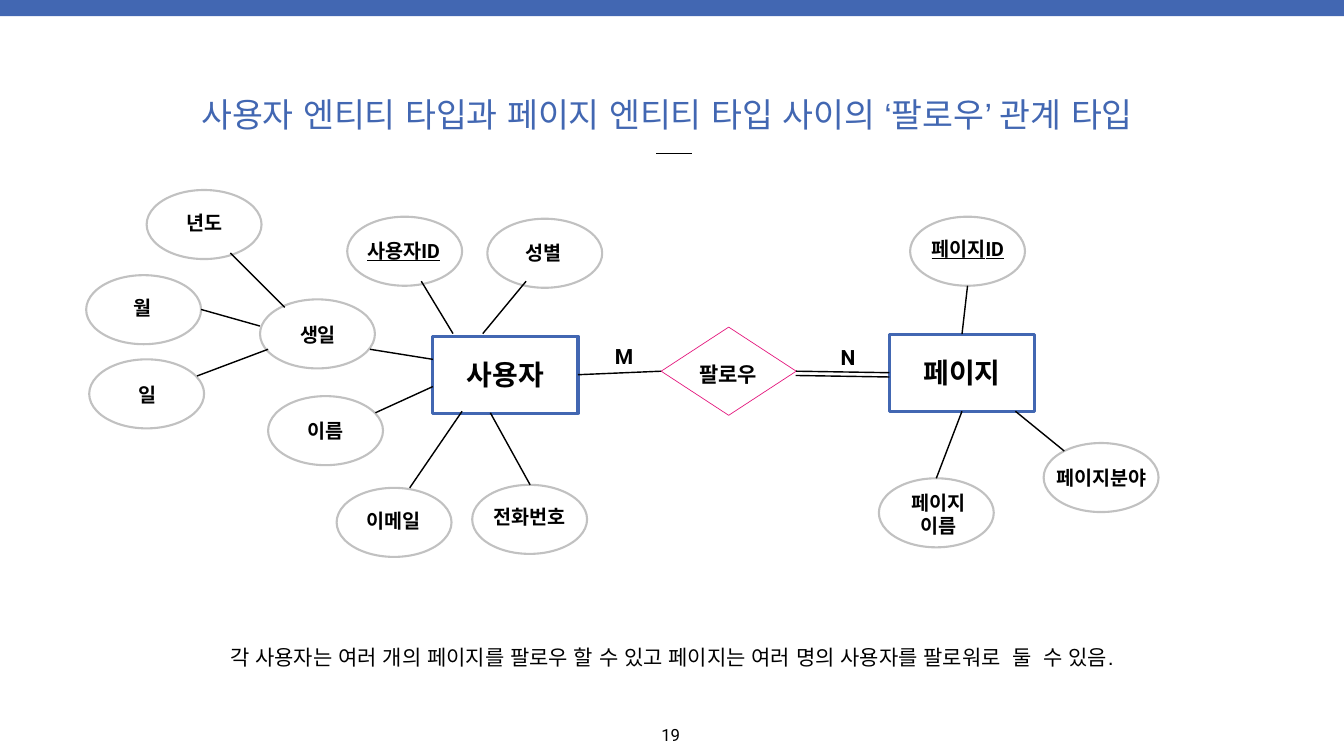
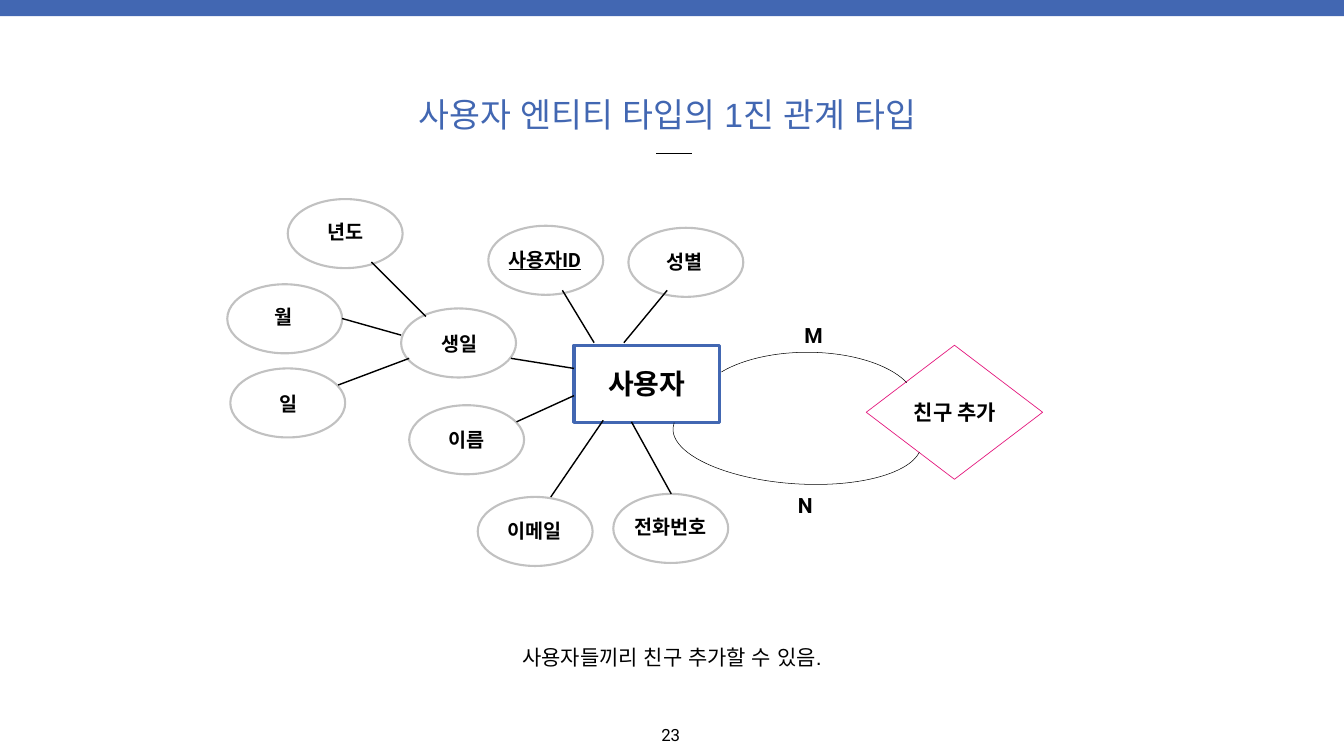
from lxml.etree import SubElement
from pptx import Presentation
from pptx.dml.color import RGBColor
from pptx.enum.shapes import MSO_CONNECTOR, MSO_SHAPE
from pptx.enum.text import MSO_ANCHOR, MSO_AUTO_SIZE, PP_ALIGN
from pptx.oxml.ns import qn
from pptx.util import Inches, Pt

COLORS = {"blue": "4267B2", "gray": "C1C1C1", "pink": "E4177D",
          "black": "000000", "white": "FFFFFF"}
WIDTH, HEIGHT = 26.67, 15
OVAL = (2.28, 1.37)
BOX = (2.88, 1.53)

# Attributes: text, oval left and top, label left, top, width and height, key
USER = {
    "name": "사용자",
    "box": (8.59, 6.67),
    "attributes": [
        ("사용자ID", 6.89, 4.3, 7.06, 4.69, 1.9, 0.58, True),
        ("성별", 9.67, 4.34, 10.12, 4.72, 1.34, 0.58, False),
        ("전화번호", 9.37, 9.62, 9.65, 9.97, 1.7, 0.58, False),
        ("이메일", 6.68, 9.68, 6.92, 10.05, 1.78, 0.58, False),
        ("이름", 5.32, 7.86, 5.79, 8.25, 1.34, 0.58, False),
        ("생일", 5.16, 5.94, 5.64, 6.34, 1.34, 0.58, False),
        ("일", 1.77, 7.13, 2.25, 7.54, 1.34, 0.58, False),
        ("월", 1.71, 5.46, 2.16, 5.81, 1.34, 0.58, False),
        ("년도", 2.91, 3.77, 3.38, 4.12, 1.34, 0.58, False),
    ],
    "lines": [
        (7.45, 6.49, 7.45, 6.49),
        (10.44, 5.58, 9.58, 6.62),
        (8.36, 5.58, 8.99, 6.62),
        (7.34, 6.93, 8.59, 7.13),
        (8.59, 7.67, 7.45, 8.19),
        (9.17, 8.16, 8.13, 9.68),
        (9.73, 8.19, 10.52, 9.62),
        (5.65, 6.1, 4.57, 5.02),
        (5.16, 6.47, 3.99, 6.14),
        (5.32, 6.93, 3.91, 7.46),
    ],
}
PAGE = {
    "name": "페이지",
    "box": (17.65, 6.63),
    "attributes": [
        ("페이지 이름", 17.44, 9.49, 17.65, 9.68, 1.93, 1.05, False),
        ("페이지ID", 18.06, 4.3, 18.27, 4.65, 1.87, 0.58, True),
        ("페이지분야", 20.71, 8.79, 20.71, 9.18, 2.28, 0.58, False),
    ],
    "lines": [(20.15, 8.16, 21.12, 8.95)],
}
FOLLOW = {
    "title": "사용자 엔티티 타입과 페이지 엔티티 타입 사이의 ‘팔로우’ 관계 타입 ",
    "title_width": 19.68,
    "caption": "각 사용자는 여러 개의 페이지를 팔로우 할 수 있고 "
               "페이지는 여러 명의 사용자를 팔로워로  둘  수 있음.",
    "caption_width": 18.51,
    "number": "19",
    "diamond": (13.12, 6.49, 2.68, 1.75),
    "relation": ("팔로우", 13.68, 7.11, 1.54),
    "cardinalities": [("M", 12.14, 6.75, 0.46), ("N", 16.62, 6.77, 0.42)],
}
FRIEND = {
    "title": "사용자 엔티티 타입의 1진 관계 타입 ",
    "title_width": 10.79,
    "caption": "사용자들끼리 친구 추가할 수 있음.",
    "caption_width": 6.49,
    "number": "23",
    "diamond": (17.19, 6.85, 3.5, 2.66),
    "relation": ("친구 추가", 17.94, 7.87, 2.02),
    "cardinalities": [("M", 15.9, 6.33, 0.46), ("N", 15.77, 9.72, 0.42)],
}
FRIEND_SHIFT = (2.8, 0.18)
# Arcs: position and size, flip, rotation, adjustments
FRIEND_ARCS = [
    ((13.86, 6.99, 4.32, 2.03), "flipH", 0, (115.08, 203.94)),
    ((13.35, 7.72, 4.94, 1.88), "flipV", 3.9, (106.47, 213.96)),
]


def color(name):
    return RGBColor.from_string(COLORS[name])


def write(sp, text, size, font="Roboto", ink="black", bold=False,
          underline=None, wrap=True, anchor=MSO_ANCHOR.MIDDLE):
    tf = sp.text_frame
    tf.text = text
    tf.word_wrap = wrap
    tf.auto_size = MSO_AUTO_SIZE.SHAPE_TO_FIT_TEXT
    tf.vertical_anchor = anchor
    tf.margin_left = tf.margin_right = Inches(0.06)
    tf.margin_top = tf.margin_bottom = Inches(0.06)
    p = tf.paragraphs[0]
    p.alignment = PP_ALIGN.CENTER
    r = p.runs[0]
    r.font.size = Pt(size)
    r.font.name = font
    r.font.bold = bold
    r.font.underline = underline
    r.font.color.rgb = color(ink)
    SubElement(r.font._element, qn("a:ea")).set("typeface", font)


def add_label(s, text, at, size, **style):
    write(s.shapes.add_textbox(*map(Inches, at)), text, size, **style)


def add_figure(s, kind, at, fill=None, line=None, weight=1):
    sp = s.shapes.add_shape(kind, *map(Inches, at))
    sp.shadow.inherit = False
    if fill:
        sp.fill.solid()
        sp.fill.fore_color.rgb = color(fill)
    else:
        sp.fill.background()
    if line:
        sp.line.color.rgb = color(line)
        sp.line.width = Pt(weight)
    else:
        sp.line.fill.background()
    return sp


def add_line(s, ends, begin=None, end=None):
    """Draw a line; begin and end are optional (shape, side) joints."""
    c = s.shapes.add_connector(MSO_CONNECTOR.STRAIGHT, *map(Inches, ends))
    c.line.color.rgb = color("black")
    c.line.width = Pt(2)
    SubElement(c._element.spPr, qn("a:effectLst"))
    if begin:
        c.begin_connect(*begin)
    if end:
        c.end_connect(*end)


def add_entity(s, entity, shift=(0, 0)):
    """Draw an entity with its attributes and return its rectangle."""
    dx, dy = shift
    x, y = entity["box"][0] + dx, entity["box"][1] + dy
    box = add_figure(s, MSO_SHAPE.RECTANGLE, (x, y, *BOX), "white", "blue", 4.5)
    add_label(s, entity["name"], (x + 0.15, y + 0.36, 2.58, 0.78), 40, bold=True)
    for text, ox, oy, lx, ly, w, h, key in entity["attributes"]:
        add_figure(s, MSO_SHAPE.OVAL, (ox + dx, oy + dy, *OVAL), "white", "gray", 3)
        add_label(s, text, (lx + dx, ly + dy, w, h), 28, bold=True,
                  underline=key or None)
    for x1, y1, x2, y2 in entity["lines"]:
        add_line(s, (x1 + dx, y1 + dy, x2 + dx, y2 + dy))
    return box


def add_relation(s, content):
    """Draw the relationship with its cardinalities and return its diamond."""
    diamond = add_figure(s, MSO_SHAPE.DIAMOND, content["diamond"], "white", "pink")
    text, *at = content["relation"]
    add_label(s, text, (*at, 0.62), 30, bold=True)
    for text, *at in content["cardinalities"]:
        add_label(s, text, (*at, 0.62), 30, bold=True, wrap=False)
    return diamond


def add_frame(prs, content):
    """Add a slide with its band, title, dash, caption and number."""
    s = prs.slides.add_slide(prs.slide_layouts[5])
    add_figure(s, MSO_SHAPE.RECTANGLE, (0, -0.03, WIDTH, 0.35), "blue")
    title, w = s.shapes.title, content["title_width"]
    title.left, title.top = Inches((WIDTH - w) / 2), Inches(1.81)
    title.width, title.height = Inches(w), Inches(0.92)
    write(title, content["title"], 48, font="Arial", ink="blue", wrap=False)
    add_line(s, (13.02, 3.05, 13.73, 3.05))
    w = content["caption_width"]
    add_label(s, content["caption"], ((WIDTH - w) / 2, 12.72, w, 0.62), 30,
              font="Arial", wrap=False)
    add_label(s, content["number"], (13.06, 14.31, 0.5, 0.5), 24, wrap=False,
              anchor=MSO_ANCHOR.TOP)
    return s


def build_follow(prs):
    s = add_frame(prs, FOLLOW)
    user, page = add_entity(s, USER), add_entity(s, PAGE)
    diamond = add_relation(s, FOLLOW)
    add_line(s, (13.12, 7.37, 11.47, 7.43), (diamond, 1), (user, 3))
    add_line(s, (15.79, 7.37, 17.65, 7.4), (diamond, 3), (page, 1))
    add_line(s, (15.79, 7.45, 17.65, 7.48))
    add_line(s, (19.2, 5.67, 19.09, 6.63), end=(page, 0))
    add_line(s, (19.09, 8.16, 18.58, 9.49), begin=(page, 2))


def build_friend(prs):
    s = add_frame(prs, FRIEND)
    add_entity(s, USER, FRIEND_SHIFT)
    add_relation(s, FRIEND)
    for at, flip, rotation, adjustments in FRIEND_ARCS:
        arc = add_figure(s, MSO_SHAPE.ARC, at, line="black", weight=0.75)
        arc.rotation = rotation
        for i, value in enumerate(adjustments):
            arc.adjustments[i] = value
        arc._element.spPr.find(qn("a:xfrm")).set(flip, "1")


def main():
    prs = Presentation()
    prs.slide_width, prs.slide_height = Inches(WIDTH), Inches(HEIGHT)
    build_follow(prs)
    build_friend(prs)
    prs.save("out.pptx")


if __name__ == "__main__":
    main()
